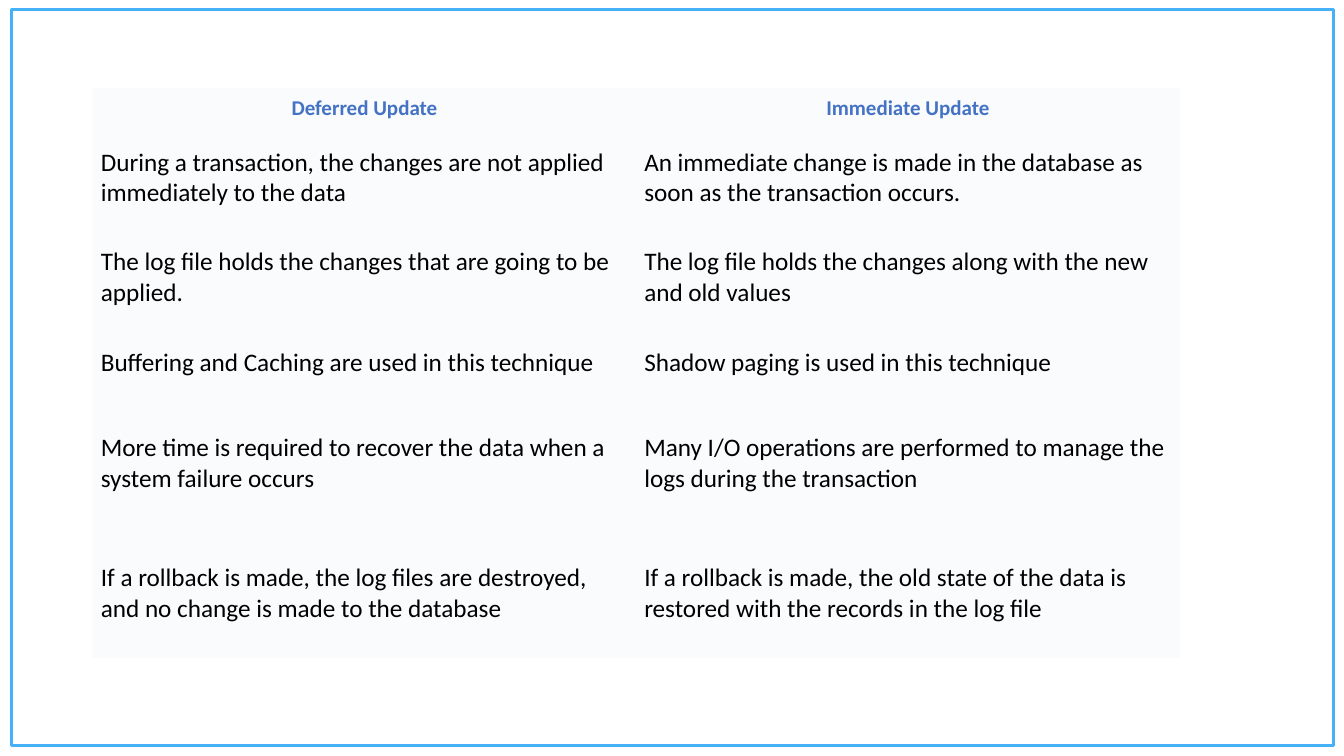
from lxml import etree
from pptx import Presentation
from pptx.dml.color import RGBColor
from pptx.enum.shapes import MSO_SHAPE
from pptx.enum.text import MSO_ANCHOR, PP_ALIGN
from pptx.oxml.ns import qn
from pptx.util import Inches, Pt

RECTANGLE = MSO_SHAPE.RECTANGLE
MIDDLE = MSO_ANCHOR.MIDDLE
LEFT, CENTER = PP_ALIGN.LEFT, PP_ALIGN.CENTER

ROWS = [
    (0.4, "Deferred Update", "Immediate Update"),
    (0.99, "During a transaction, the changes are not applied immediately to the data",
     "An immediate change is made in the database as soon as the transaction occurs."),
    (0.99, "The log file holds the changes that are going to be applied.",
     "The log file holds the changes along with the new and old values"),
    (0.7, "Buffering and Caching are used in this technique",
     "Shadow paging is used in this technique"),
    (1.29, "More time is required to recover the data when a system failure occurs",
     "Many I/O operations are performed to manage the logs during the transaction"),
    (1.29, "If a rollback is made, the log files are destroyed, and no change is made to the database",
     "If a rollback is made, the old state of the data is restored with the records in the log file"),
]
HEADER_FORMAT = {"size": 15, "color": "4472C4", "bold": True, "align": CENTER}
BODY_FORMAT = {"size": 18, "color": "000000", "bold": False, "align": LEFT}


def rgb(value):
    return RGBColor.from_string(value)


def write_cell(cell, text, size, color, bold, align):
    cell.vertical_anchor = MIDDLE
    cell.margin_left = cell.margin_right = Inches(0.08)
    cell.margin_top = cell.margin_bottom = Inches(0.04)
    properties = cell._tc.get_or_add_tcPr()
    for side in ("a:lnL", "a:lnR", "a:lnT", "a:lnB"):
        border = etree.SubElement(properties, qn(side))
        etree.SubElement(border, qn("a:noFill"))
    cell.fill.solid()
    cell.fill.fore_color.rgb = rgb("FAFBFC")
    paragraph = cell.text_frame.paragraphs[0]
    paragraph.alignment = align
    run = paragraph.add_run()
    run.text = text
    run.font.name = "Calibri"
    run.font.size = Pt(size)
    run.font.bold = bold
    run.font.color.rgb = rgb(color)


presentation = Presentation()
presentation.slide_width = Inches(13.33)
presentation.slide_height = Inches(7.5)
slide = presentation.slides.add_slide(presentation.slide_layouts[6])

frame = slide.shapes.add_shape(RECTANGLE, Inches(0.11), Inches(0.09), Inches(13.12), Inches(7.31))
frame.shadow.inherit = False
frame.fill.background()
frame.line.color.rgb = rgb("46B0F9")
frame.line.width = Pt(2.25)

table = slide.shapes.add_table(
    len(ROWS), 2, Inches(0.92), Inches(0.87), Inches(10.78), Inches(5.66)
).table
table.horz_banding = False

for row_index, (height, *texts) in enumerate(ROWS):
    table.rows[row_index].height = Inches(height)
    text_format = HEADER_FORMAT if row_index == 0 else BODY_FORMAT
    for column_index, text in enumerate(texts):
        write_cell(table.cell(row_index, column_index), text, **text_format)

presentation.save("out.pptx")
